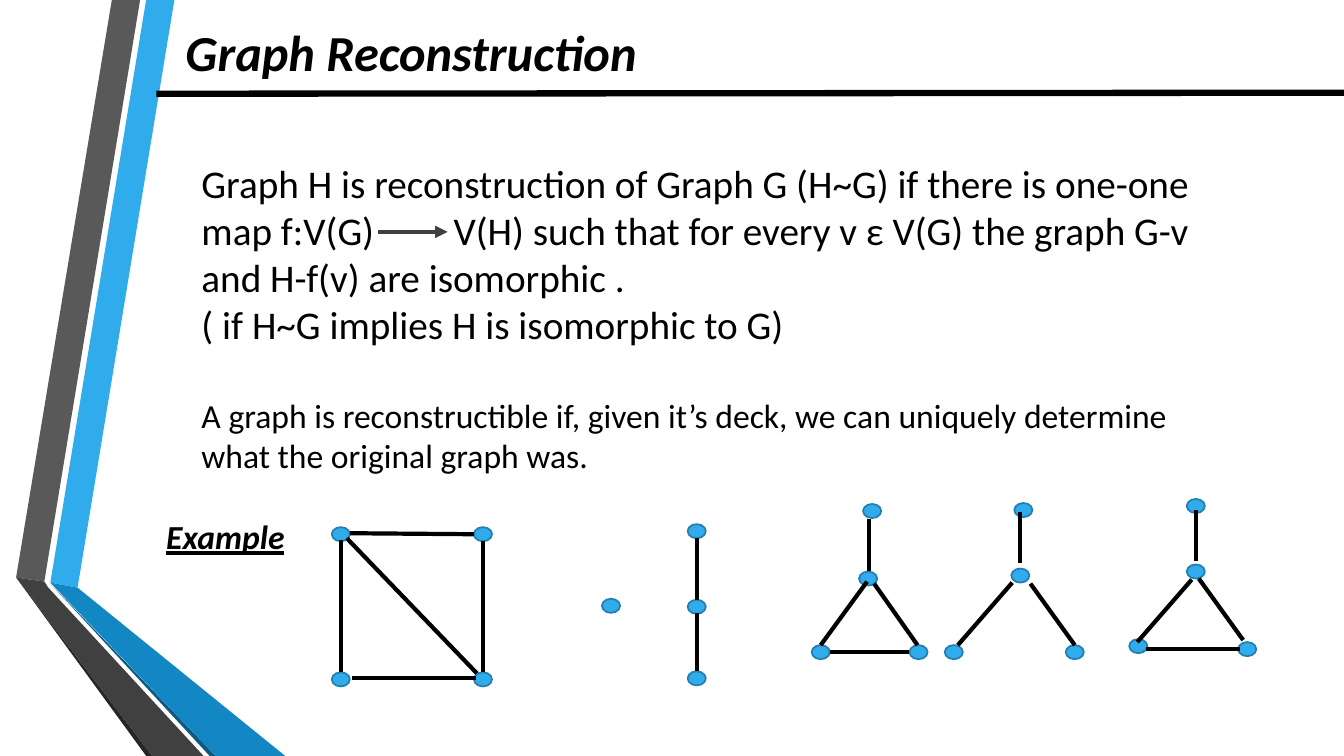
"""Build the Graph Reconstruction slide with its definition and example graphs."""
from dataclasses import dataclass

from lxml import etree
from pptx import Presentation
from pptx.dml.color import RGBColor
from pptx.enum import shapes, text
from pptx.oxml import ns
from pptx.util import Inches, Pt

Point = tuple[float, float]


@dataclass(frozen=True)
class Theme:
    """Colours, font and type sizes of the slide."""
    font: str = "Calibri"
    ink: str = "000000"
    arrow: str = "404040"
    node: str = "30ACEC"
    node_edge: str = "247FAF"
    title: int = 36
    body: int = 28
    small: int = 24
    stroke: float = 3
    rule: float = 4.5


@dataclass(frozen=True)
class Band:
    """A filled polygon of the ribbon at the left."""
    colour: str
    points: list[Point]


@dataclass(frozen=True)
class Edge:
    """A straight line between two points."""
    start: Point
    end: Point


@dataclass(frozen=True)
class Graph:
    """Top-left corners of the vertices, and the edges."""
    vertices: list[Point]
    edges: list[Edge]


@dataclass(frozen=True)
class Span:
    """A paragraph of one run with its style."""
    words: str
    size: int
    strong: bool = False
    underline: bool = False
    before: float = 0
    tab: float = 0


@dataclass(frozen=True)
class Label:
    """A text box with its paragraphs."""
    left: float
    top: float
    width: float
    height: float
    spans: list[Span]
    inset: float = 0.1


THEME = Theme()
NODE_SIZE = (0.18, 0.14)

BANDS = [
    Band("30ACEC", [(0.5, 5.78), (0.77, 5.83), (1.73, 0), (1.45, 0)]),
    Band("595959", [(1.39, 0), (1.11, 0), (0.16, 5.73), (0.44, 5.77)]),
    Band("262626", [(0.16, 5.73), (1.45, 7.5), (1.51, 7.5)]),
    Band("0C5A82", [(0.5, 5.79), (2.08, 7.5), (2.14, 7.5)]),
    Band("1287C3", [(0.5, 5.78), (2.14, 7.5), (2.83, 7.5), (0.77, 5.83)]),
    Band("404040", [(2.02, 7.5), (0.48, 5.83), (0.44, 5.77), (0.16, 5.73), (1.51, 7.5)]),
]

LABELS = [
    Label(1.63, 0.16, 5, 0.71, [Span("Graph Reconstruction", THEME.title, strong=True)], inset=0.21),
    Label(1.9, 1.53, 10.22, 3.26, [
        Span("Graph H is reconstruction of Graph G (H~G) if there is one-one map f:V(G)\tV(H) "
             "such that for every v ε V(G) the graph G-v and H-f(v) are isomorphic .",
             THEME.body, tab=2.5),
        Span("( if H~G implies H is isomorphic to G)", THEME.body),
        Span("A graph is reconstructible if, given it’s deck, we can uniquely determine "
             "what the original graph was.", THEME.small, before=34),
    ]),
    Label(1.55, 5.07, 1.97, 0.5, [Span("Example", THEME.small, strong=True, underline=True)]),
]

MAP_ARROW = Edge((3.75, 2.3), (4.44, 2.3))
TITLE_RULE = Edge((1.55, 0.93), (13.33, 0.92))

SQUARE = Graph(
    [(left, top) for left in (3.29, 4.7) for top in (5.23, 6.67)],
    [Edge((3.47, 5.29), (4.7, 5.3)), Edge((4.79, 5.37), (4.79, 6.67)),
     Edge((3.38, 5.36), (3.38, 6.67)), Edge((3.49, 6.73), (4.72, 6.73)),
     Edge((3.44, 5.34), (4.73, 6.68))],
)
SINGLE = Graph([(5.97, 5.94)], [])
PATH = Graph(
    [(6.82, top) for top in (5.2, 5.95, 6.66)],
    [Edge((6.91, 5.34), (6.91, 5.95)), Edge((6.91, 6.08), (6.91, 6.66))],
)
FIRST_PAW = Graph(
    [(8.56, 5), (8.52, 5.67), (8.05, 6.4), (9.02, 6.4)],
    [Edge((8.62, 5.66), (8.62, 5.15)), Edge((8.14, 6.4), (8.6, 5.77)),
     Edge((9.1, 6.4), (8.67, 5.79)), Edge((8.23, 6.47), (9.02, 6.47))],
)
CLAW = Graph(
    [(10.06, 4.99), (10.03, 5.64), (9.37, 6.4), (10.57, 6.4)],
    [Edge((10.12, 5.59), (10.12, 5.08)), Edge((9.5, 6.4), (10.04, 5.78)),
     Edge((10.66, 6.4), (10.22, 5.79))],
)
SECOND_PAW = Graph(
    [(11.77, 4.95), (11.77, 5.6), (11.2, 6.34), (12.28, 6.37)],
    [Edge((11.86, 5.57), (11.86, 5.06)), Edge((11.28, 6.37), (11.82, 5.75)),
     Edge((12.33, 6.35), (11.89, 5.74)), Edge((11.37, 6.44), (12.3, 6.44))],
)
GRAPHS = [SQUARE, SINGLE, PATH, FIRST_PAW, CLAW, SECOND_PAW]


def draw_band(page, band: Band) -> None:
    """Draw one polygon of the ribbon."""
    corners = [(Inches(x), Inches(y)) for x, y in band.points]
    builder = page.shapes.build_freeform(*corners[0])
    builder.add_line_segments(corners[1:], close=True)
    shape = builder.convert_to_shape()
    shape.shadow.inherit = False
    shape.fill.solid()
    shape.fill.fore_color.rgb = RGBColor.from_string(band.colour)
    shape.line.fill.background()


def draw_edge(page, edge: Edge, colour: str = THEME.ink,
              width: float = THEME.stroke, arrow: bool = False) -> None:
    """Draw a straight line, with an arrowhead at its end if asked."""
    ends = [Inches(value) for value in (*edge.start, *edge.end)]
    connector = page.shapes.add_connector(shapes.MSO_CONNECTOR.STRAIGHT, *ends)
    connector.line.color.rgb = RGBColor.from_string(colour)
    connector.line.width = Pt(width)
    properties = connector._element.spPr
    etree.SubElement(properties, ns.qn("a:effectLst"))
    if arrow:
        outline = properties.find(ns.qn("a:ln"))
        etree.SubElement(outline, ns.qn("a:tailEnd"), type="triangle")


def draw_vertex(page, corner: Point) -> None:
    """Draw one vertex as a small ellipse."""
    frame = [Inches(value) for value in (*corner, *NODE_SIZE)]
    vertex = page.shapes.add_shape(shapes.MSO_SHAPE.OVAL, *frame)
    vertex.shadow.inherit = False
    vertex.fill.solid()
    vertex.fill.fore_color.rgb = RGBColor.from_string(THEME.node)
    vertex.line.color.rgb = RGBColor.from_string(THEME.node_edge)
    vertex.line.width = Pt(1.25)


def draw_graph(page, graph: Graph) -> None:
    """Draw the vertices of a graph and then its edges."""
    for corner in graph.vertices:
        draw_vertex(page, corner)
    for edge in graph.edges:
        draw_edge(page, edge)


def draw_label(page, label: Label) -> None:
    """Draw a text box run by run."""
    frame = [Inches(value) for value in (label.left, label.top, label.width, label.height)]
    box = page.shapes.add_textbox(*frame).text_frame
    box.word_wrap = True
    box.auto_size = text.MSO_AUTO_SIZE.SHAPE_TO_FIT_TEXT
    box.margin_left = Inches(label.inset)
    for index, span in enumerate(label.spans):
        para = box.add_paragraph() if index else box.paragraphs[0]
        para.space_before = Pt(span.before)
        if span.tab:
            stops = etree.SubElement(para._p.get_or_add_pPr(), ns.qn("a:tabLst"))
            etree.SubElement(stops, ns.qn("a:tab"), pos=str(Inches(span.tab)), algn="l")
        run = para.add_run()
        run.text = span.words
        run.font.name = THEME.font
        run.font.size = Pt(span.size)
        run.font.bold = run.font.italic = span.strong
        run.font.underline = span.underline
        run.font.color.rgb = RGBColor.from_string(THEME.ink)


def main() -> None:
    """Build and save the deck."""
    deck = Presentation()
    deck.slide_width, deck.slide_height = Inches(13.33), Inches(7.5)
    page = deck.slides.add_slide(deck.slide_layouts[6])
    for band in BANDS:
        draw_band(page, band)
    for label in LABELS:
        draw_label(page, label)
    draw_edge(page, MAP_ARROW, colour=THEME.arrow, arrow=True)
    for graph in GRAPHS:
        draw_graph(page, graph)
    draw_edge(page, TITLE_RULE, width=THEME.rule)
    deck.save("out.pptx")


if __name__ == "__main__":
    main()
